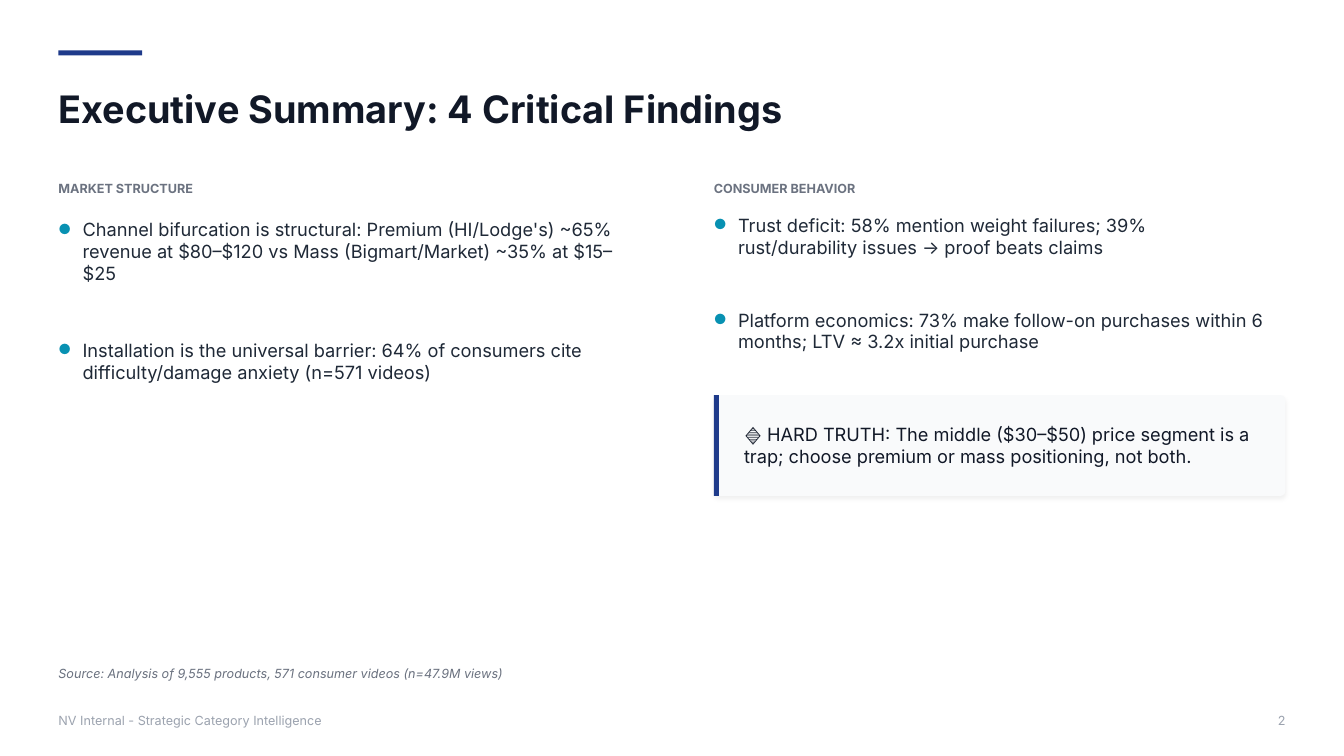
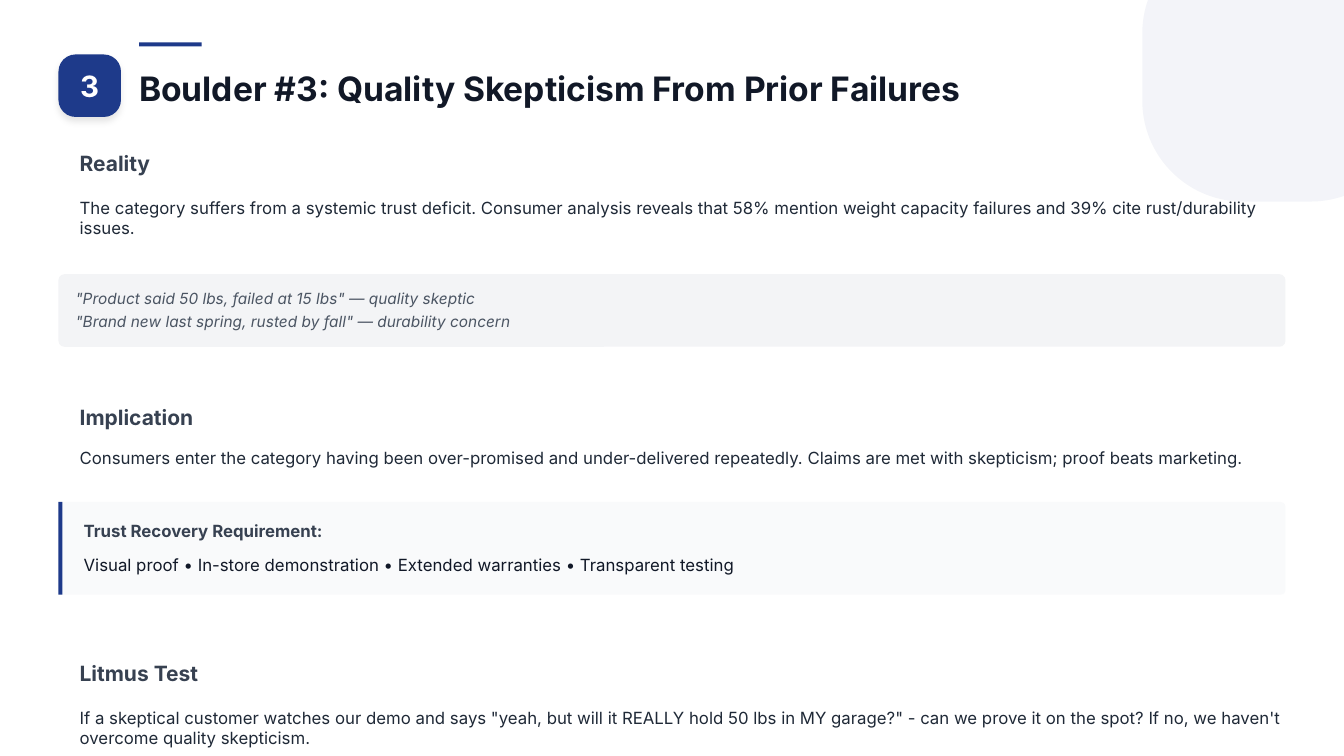
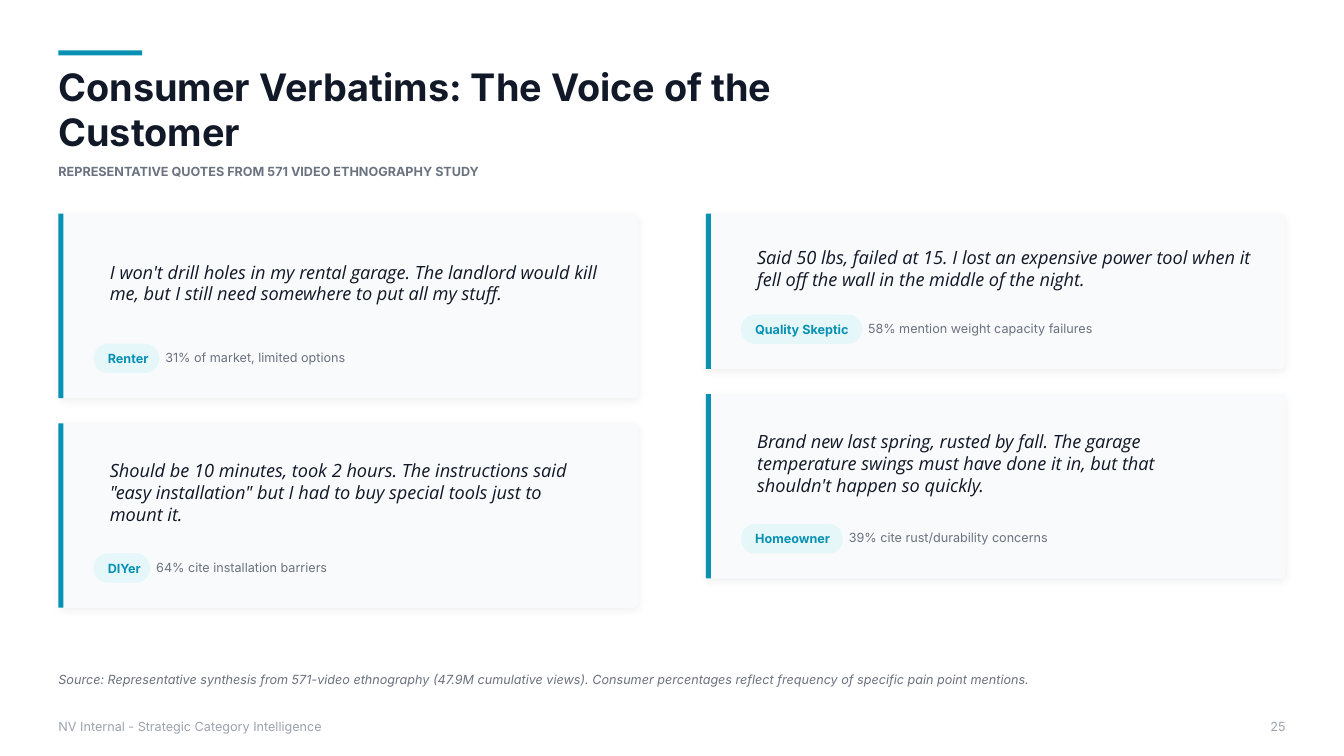
from lxml import etree
from pptx import Presentation
from pptx.dml.color import RGBColor
from pptx.enum.shapes import MSO_SHAPE as SHAPE
from pptx.enum.text import MSO_ANCHOR as ANCHOR, PP_ALIGN as ALIGN
from pptx.oxml.ns import qn
from pptx.util import Inches, Pt

NAVY = RGBColor(0x1E, 0x3A, 0x8A)
TEAL = RGBColor(0x08, 0x91, 0xB2)
MINT = RGBColor(0xE5, 0xF7, 0xF9)
INK = RGBColor(0x11, 0x18, 0x27)
BODY = RGBColor(0x1F, 0x29, 0x37)
HEADING = RGBColor(0x37, 0x41, 0x51)
QUOTE = RGBColor(0x4B, 0x55, 0x63)
MUTED = RGBColor(0x6B, 0x72, 0x80)
FAINT = RGBColor(0x9C, 0xA3, 0xAF)
PANEL = RGBColor(0xF9, 0xFA, 0xFB)
PALE = RGBColor(0xF3, 0xF4, 0xF6)
WHITE = RGBColor(0xFF, 0xFF, 0xFF)

FONT, QUOTE_FONT = "Inter", "Open Sans"
LEFT, WIDTH = 0.58, 12.17
FOOTER = "NV Internal - Strategic Category Intelligence"


def write(sp, text, size, color, bold=False, italic=False, font=FONT, align=ALIGN.LEFT, inset=0):
    """Fill a shape with one vertically centred paragraph and return it."""
    tf = sp.text_frame
    tf.word_wrap = True
    tf.vertical_anchor = ANCHOR.MIDDLE
    tf.margin_left = Inches(inset)
    tf.margin_right = tf.margin_top = tf.margin_bottom = 0
    p = tf.paragraphs[0]
    p.text = text
    p.alignment = align
    f = p.font
    f.name, f.size, f.bold, f.italic = font, Pt(size), bold, italic
    f.color.rgb = color
    return p


def add_text(s, x, y, w, h, text, size, color, **style):
    """Add a text box with one paragraph."""
    sp = s.shapes.add_textbox(Inches(x), Inches(y), Inches(w), Inches(h))
    return write(sp, text, size, color, **style)


def add_box(s, x, y, w, h, color, radius=0):
    """Add a plain filled rectangle, rounded when a radius is given."""
    kind = SHAPE.ROUNDED_RECTANGLE if radius else SHAPE.RECTANGLE
    sp = s.shapes.add_shape(kind, Inches(x), Inches(y), Inches(w), Inches(h))
    if radius:
        sp.adjustments[0] = radius / min(w, h)
    sp.fill.solid()
    sp.fill.fore_color.rgb = color
    sp.line.fill.background()
    sp.shadow.inherit = False
    return sp


def add_alpha(color, percent):
    """Set the opacity of a colour element."""
    etree.SubElement(color, qn("a:alpha"), val=str(percent * 1000))


def add_shadow(sp, opacity, blur, dist):
    """Give a shape a soft black shadow below it."""
    effects = sp._element.spPr.find(qn("a:effectLst"))
    shadow = etree.SubElement(effects, qn("a:outerShdw"), blurRad=str(Pt(blur)),
                              dist=str(Pt(dist)), dir="5400000", rotWithShape="0")
    add_alpha(etree.SubElement(shadow, qn("a:srgbClr"), val="000000"), opacity)


def panel(s, x, y, w, h, accent, bar=0.05, shadow=None):
    """Draw a light panel with an accent bar on its left edge."""
    sp = add_box(s, x, y, w, h, PANEL, 0.05)
    if shadow:
        add_shadow(sp, *shadow)
    add_box(s, x, y, bar, h, accent)


def title_slide(prs, title, accent, x=LEFT, y=0.85, w=8.9, h=0.46, size=27, bar=(0.5, 0.83, 0.05)):
    """Add a slide with the accent bar above its title."""
    s = prs.slides.add_slide(prs.slide_layouts[5])
    sp = s.shapes.title
    sp.left, sp.top, sp.width, sp.height = Inches(x), Inches(y), Inches(w), Inches(h)
    write(sp, title, size, INK, bold=True)
    bar_y, bar_w, bar_h = bar
    add_box(s, x, bar_y, bar_w, bar_h, accent)
    return s


def footer(s, y, source, number):
    """Write the source line, the footer and the page number."""
    add_text(s, LEFT, y, WIDTH, 0.17, source, 9, MUTED, italic=True)
    add_text(s, LEFT, y + 0.46, 6, 0.17, FOOTER, 9, FAINT)
    add_text(s, LEFT + WIDTH - 1, y + 0.46, 1, 0.17, number, 9, FAINT, align=ALIGN.RIGHT)


def add_bullet(s, x, y, w, h, text):
    """Add one finding with a teal round bullet."""
    p = add_text(s, x, y, w, h, "", 13, BODY)
    pPr = p._p.get_or_add_pPr()
    pPr.set("marL", str(Inches(0.24)))
    pPr.set("indent", str(-Inches(0.24)))
    color = etree.Element(qn("a:buClr"))
    etree.SubElement(color, qn("a:srgbClr"), val=str(TEAL))
    size = etree.Element(qn("a:buSzPct"), val="77000")
    face = etree.Element(qn("a:buFont"), typeface=FONT)
    char = etree.Element(qn("a:buChar"), char="●")
    for i, el in enumerate((color, size, face, char)):
        pPr.insert(i, el)
    p.add_run().text = text


def findings(s, x, label, items):
    """Write a labelled column of findings."""
    add_text(s, x, 1.79, 5, 0.16, label, 9, MUTED, bold=True)
    for y, w, h, text in items:
        add_bullet(s, x, y, w, h, text)


def summary_slide(prs):
    """Build the executive summary."""
    s = title_slide(prs, "Executive Summary: 4 Critical Findings", NAVY)
    findings(s, LEFT, "MARKET STRUCTURE", [
        (2.08, 5.76, 0.82, "Channel bifurcation is structural: Premium (HI/Lodge's) ~65% revenue at "
                           "$80–$120 vs Mass (Bigmart/Market) ~35% at $15–$25"),
        (3.32, 5.54, 0.52, "Installation is the universal barrier: 64% of consumers cite "
                           "difficulty/damage anxiety (n=571 videos)"),
    ])
    x = 7.08
    findings(s, x, "CONSUMER BEHAVIOR", [
        (2.08, 4.6, 0.52, "Trust deficit: 58% mention weight failures; 39% rust/durability issues "
                          "→ proof beats claims"),
        (3.02, 5.81, 0.52, "Platform economics: 73% make follow-on purchases within 6 months; "
                           "LTV ≈ 3.2x initial purchase"),
    ])
    panel(s, x, 3.92, 5.67, 1, NAVY, shadow=(5, 3, 2))
    add_text(s, x + 0.3, 4.16, 5.17, 0.51,
             "🔷 HARD TRUTH: The middle ($30–$50) price segment is a trap; choose premium or mass "
             "positioning, not both.", 13, INK)
    footer(s, 6.6, "Source: Analysis of 9,555 products, 571 consumer videos (n=47.9M views)", "2")


def section(s, y, heading, body, h):
    """Write a heading with its body text."""
    add_text(s, 0.79, y, 12, 0.31, heading, 15, HEADING, bold=True)
    add_text(s, 0.79, y + 0.46, 12, h, body, 12, BODY)


def quotes_box(s, y, quotes):
    """Draw the grey box with one quote a line."""
    add_box(s, LEFT, y, WIDTH, 0.72, PALE, 0.06)
    for i, quote in enumerate(quotes):
        add_text(s, LEFT + 0.17, y + 0.14 + i * 0.23, 11.5, 0.2, quote, 11, QUOTE, italic=True)


def requirement_box(s, y, heading, body):
    """Draw the panel with the trust requirement."""
    panel(s, LEFT, y, WIDTH, 0.92, NAVY, bar=0.04)
    add_text(s, LEFT + 0.25, y + 0.18, 11.5, 0.21, heading, 12, HEADING, bold=True)
    add_text(s, LEFT + 0.25, y + 0.52, 11.5, 0.21, body, 12, INK)


def boulder_slide(prs):
    """Build the slide on quality skepticism."""
    s = title_slide(prs, "Boulder #3: Quality Skepticism From Prior Failures", NAVY,
                    x=1.38, y=0.67, h=0.41, size=24, bar=(0.42, 0.62, 0.04))
    corner = add_box(s, 11.33, -0.67, 2.67, 2.67, NAVY, 1)
    add_alpha(corner._element.spPr.find(qn("a:solidFill"))[0], 5)
    badge = add_box(s, LEFT, 0.54, 0.62, 0.62, NAVY, 0.17)
    add_shadow(badge, 10, 5, 3)
    write(badge, "3", 21, WHITE, bold=True, align=ALIGN.CENTER)
    section(s, 1.46, "Reality",
            "The category suffers from a systemic trust deficit. Consumer analysis reveals that 58% "
            "mention weight capacity failures and 39% cite rust/durability issues.", 0.48)
    quotes_box(s, 2.72, ['"Product said 50 lbs, failed at 15 lbs" — quality skeptic',
                         '"Brand new last spring, rusted by fall" — durability concern'])
    section(s, 3.98, "Implication",
            "Consumers enter the category having been over-promised and under-delivered repeatedly. "
            "Claims are met with skepticism; proof beats marketing.", 0.21)
    requirement_box(s, 4.98, "Trust Recovery Requirement:",
                    "Visual proof • In-store demonstration • Extended warranties • Transparent testing")
    section(s, 6.52, "Litmus Test",
            'If a skeptical customer watches our demo and says "yeah, but will it REALLY hold 50 lbs '
            'in MY garage?" - can we prove it on the spot? If no, we haven\'t overcome quality '
            'skepticism.', 0.48)


def quote_card(s, x, y, h, quote, quote_w, tag, tag_w, note):
    """Draw a quote with its speaker tag and a note."""
    panel(s, x, y, 5.75, h, TEAL, shadow=(6, 6, 2))
    add_text(s, x + 0.51, y + 0.26, quote_w, h - 0.98, quote, 13, INK, italic=True, font=QUOTE_FONT)
    tag_x, tag_y = x + 0.35, y + h - 0.54
    pill = add_box(s, tag_x, tag_y, tag_w, 0.29, MINT, 0.14)
    write(pill, tag, 9, TEAL, bold=True, inset=0.1)
    add_text(s, tag_x + tag_w + 0.06, tag_y + 0.05, 3, 0.17, note, 9, MUTED)


def verbatims_slide(prs):
    """Build the slide of customer quotes."""
    s = title_slide(prs, "Consumer Verbatims: The Voice of the Customer", TEAL)
    add_text(s, LEFT, 1.62, 8, 0.16, "REPRESENTATIVE QUOTES FROM 571 VIDEO ETHNOGRAPHY STUDY",
             9, MUTED, bold=True)
    columns = {
        LEFT: [
            (1.83, "I won't drill holes in my rental garage. The landlord would kill me, but I still "
                   "need somewhere to put all my stuff.", 4.94,
             "Renter", 0.65, "31% of market, limited options"),
            (1.83, 'Should be 10 minutes, took 2 hours. The instructions said "easy installation" '
                   'but I had to buy special tools just to mount it.', 4.83,
             "DIYer", 0.56, "64% cite installation barriers"),
        ],
        7: [
            (1.54, "Said 50 lbs, failed at 15. I lost an expensive power tool when it fell off the "
                   "wall in the middle of the night.", 4.94,
             "Quality Skeptic", 1.2, "58% mention weight capacity failures"),
            (1.83, "Brand new last spring, rusted by fall. The garage temperature swings must have "
                   "done it in, but that shouldn't happen so quickly.", 4.61,
             "Homeowner", 1.01, "39% cite rust/durability concerns"),
        ],
    }
    for x, cards in columns.items():
        y = 2.12
        for h, *content in cards:
            quote_card(s, x, y, h, *content)
            y += h + 0.25
    footer(s, 6.66, "Source: Representative synthesis from 571-video ethnography (47.9M cumulative "
                    "views). Consumer percentages reflect frequency of specific pain point mentions.", "25")


def main():
    """Build and save the presentation."""
    prs = Presentation()
    prs.slide_width, prs.slide_height = Inches(13.33), Inches(7.5)
    summary_slide(prs)
    boulder_slide(prs)
    verbatims_slide(prs)
    prs.save("out.pptx")


if __name__ == "__main__":
    main()
